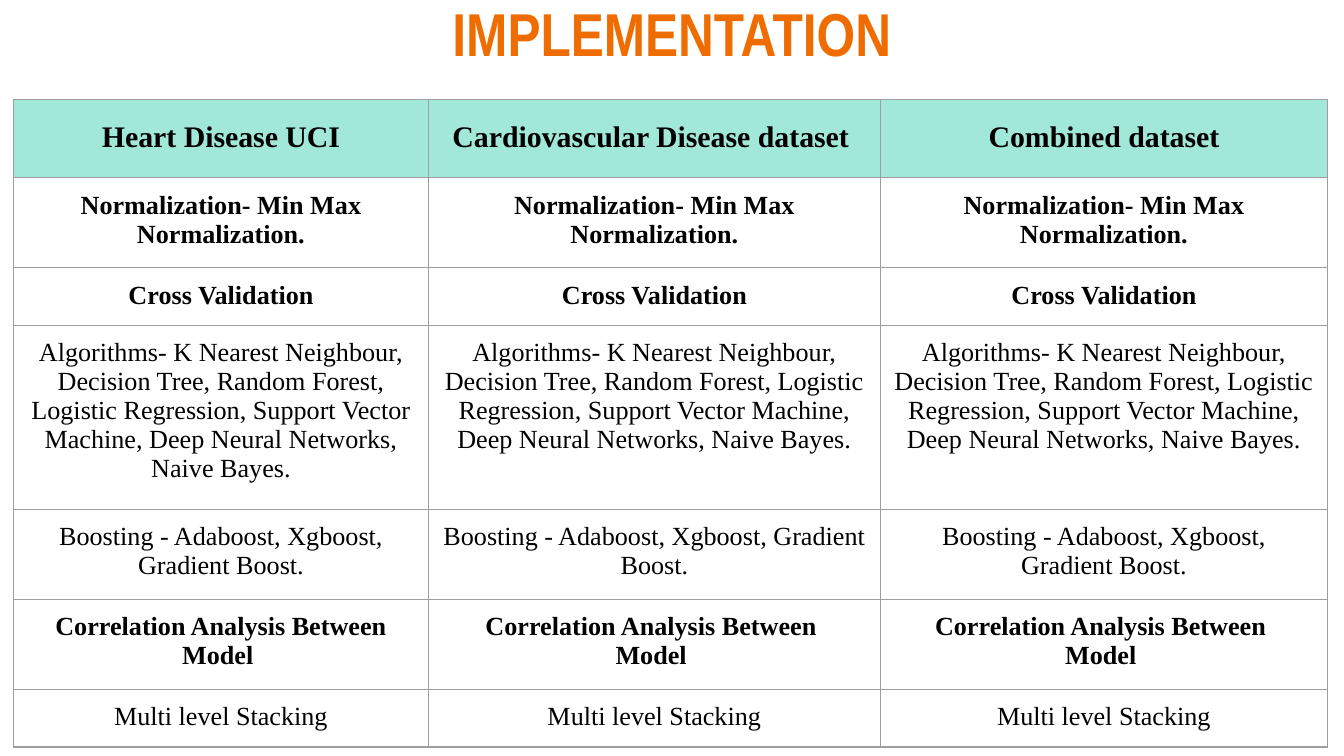
from dataclasses import dataclass

from lxml import etree
from pptx import Presentation
from pptx import util as u
from pptx.dml.color import RGBColor
from pptx.enum import text
from pptx.oxml import ns


@dataclass(frozen=True)
class Theme:
    title_color: RGBColor = RGBColor(0xEF, 0x6C, 0x00)
    text_color: RGBColor = RGBColor(0, 0, 0)
    header_fill: RGBColor = RGBColor(0xA1, 0xE8, 0xD9)
    border_color: str = "9E9E9E"
    border_width: float = 0.75
    title_font: str = "Arial Narrow"
    table_font: str = "Times New Roman"
    title_size: float = 32.4
    header_size: float = 16
    body_size: float = 14


THEME = Theme()
INSET = u.Inches(0.1)
COLUMN_WIDTHS = (3.09, 3.36, 3.33)
HEADERS = ("Heart Disease UCI", "Cardiovascular Disease dataset ", "Combined dataset")
CORRELATION_LINES = "Correlation Analysis Between \nModel "

# Row height, bold, and the wording of each column
BODY_ROWS = (
    (0.67, True, ("Normalization- Min Max Normalization.",) * 3),
    (0.43, True, ("Cross Validation",) * 3),
    (1.37, False, ("Algorithms- K Nearest Neighbour, Decision Tree, Random Forest, "
                   "Logistic Regression, Support Vector Machine, Deep Neural Networks, "
                   "Naive Bayes.",) * 3),
    (0.67, False, ("Boosting - Adaboost, Xgboost, Gradient Boost.",) * 3),
    (0.67, True, ("Correlation Analysis Between Model ", CORRELATION_LINES,
                  CORRELATION_LINES)),
    (0.43, False, ("Multi level Stacking",) * 3),
)
ROWS = ((0.58, True, HEADERS),) + BODY_ROWS


def format_paragraph(paragraph, font, size, color, bold):
    paragraph.alignment = text.PP_ALIGN.CENTER
    for run in paragraph.runs:
        run.font.name = font
        run.font.size = u.Pt(size)
        run.font.color.rgb = color
        run.font.bold = bold


def set_insets(target):
    target.margin_left = target.margin_right = INSET
    target.margin_top = target.margin_bottom = INSET


def add_title(slide, wording):
    box = slide.shapes.add_textbox(
        u.Inches(0.4), u.Inches(-0.13), u.Inches(9.2), u.Inches(0.63))
    frame = box.text_frame
    frame.word_wrap = True
    frame.vertical_anchor = text.MSO_ANCHOR.TOP
    set_insets(frame)
    frame.text = wording
    format_paragraph(frame.paragraphs[0], THEME.title_font, THEME.title_size,
                     THEME.title_color, True)


def add_borders(cell):
    properties = cell._tc.get_or_add_tcPr()
    # Border lines come before the fill
    for position, side in enumerate(("lnL", "lnR", "lnT", "lnB")):
        line = etree.Element(ns.qn(f"a:{side}"), w=str(u.Pt(THEME.border_width)))
        fill = etree.SubElement(line, ns.qn("a:solidFill"))
        etree.SubElement(fill, ns.qn("a:srgbClr"), val=THEME.border_color)
        properties.insert(position, line)


def fill_cell(cell, wording, bold, is_header):
    set_insets(cell)
    cell.text_frame.text = wording
    size = THEME.header_size if is_header else THEME.body_size
    for paragraph in cell.text_frame.paragraphs:
        format_paragraph(paragraph, THEME.table_font, size, THEME.text_color, bold)
        if is_header:
            paragraph.line_spacing = 1.25
            paragraph.space_after = u.Pt(6)
    if is_header:
        cell.fill.solid()
        cell.fill.fore_color.rgb = THEME.header_fill
    else:
        cell.fill.background()
    add_borders(cell)


def add_comparison_table(slide):
    table = slide.shapes.add_table(
        len(ROWS), len(COLUMN_WIDTHS), u.Inches(0.1), u.Inches(0.74),
        u.Inches(sum(COLUMN_WIDTHS)), u.Inches(sum(row[0] for row in ROWS))).table
    table.first_row = table.horz_banding = False
    for column, width in zip(table.columns, COLUMN_WIDTHS):
        column.width = u.Inches(width)
    for index, (height, bold, wordings) in enumerate(ROWS):
        table.rows[index].height = u.Inches(height)
        for cell, wording in zip(table.rows[index].cells, wordings):
            fill_cell(cell, wording, bold, is_header=index == 0)


def main():
    presentation = Presentation()
    # Widescreen, 16 to 9
    presentation.slide_width = u.Inches(10)
    presentation.slide_height = u.Inches(10 * 9 / 16)
    slide = presentation.slides.add_slide(presentation.slide_layouts[6])

    # Table of steps per dataset, then the title above it
    add_comparison_table(slide)
    add_title(slide, "IMPLEMENTATION")
    presentation.save("out.pptx")


if __name__ == "__main__":
    main()
